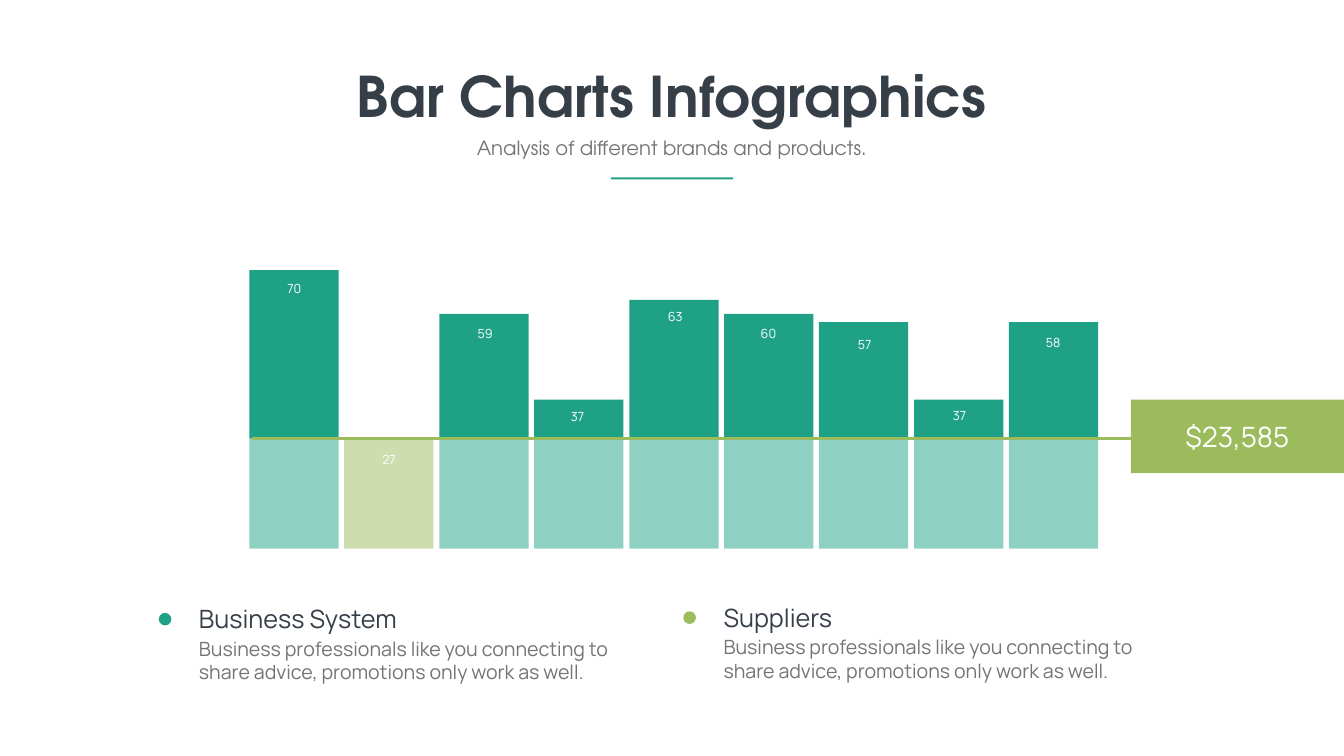
from dataclasses import dataclass

from lxml.etree import SubElement
from pptx import Presentation
from pptx.dml.color import RGBColor
from pptx.enum.shapes import MSO_CONNECTOR, MSO_SHAPE
from pptx.enum.text import MSO_ANCHOR, MSO_AUTO_SIZE, PP_ALIGN
from pptx.oxml.ns import qn
from pptx.util import Pt

EMU_PER_PX = 9144  # 100 px to the inch
WIDTH, HEIGHT = 2667, 1500


@dataclass(frozen=True)
class Theme:
    teal: str = "1EA185"
    green: str = "9BBB5C"
    dark: str = "363E48"
    grey: str = "737572"
    white: str = "FFFFFF"
    heading_font: str = "TeX Gyre Adventor"
    body_font: str = "Manrope"
    title_size: int = 80
    badge_size: int = 40
    legend_size: int = 36
    body_size: int = 28
    label_size: int = 18


THEME = Theme()


def px(*lengths):
    return [length * EMU_PER_PX for length in lengths]


def write_text(frame, text, *, size, color, font=THEME.body_font, bold=False,
               align=PP_ALIGN.LEFT):
    paragraph = frame.paragraphs[0]
    paragraph.alignment = align
    run = paragraph.add_run()
    run.text = text
    run.font.name = font
    run.font.size = Pt(size)
    run.font.bold = bold
    run.font.color.rgb = RGBColor.from_string(color)


class SlideBuilder:
    def __init__(self, slide, theme):
        self.shapes = slide.shapes
        self.theme = theme

    def block(self, box, color, kind=MSO_SHAPE.RECTANGLE, opacity=100, parent=None):
        block = (parent or self.shapes).add_shape(kind, *px(*box))
        block.shadow.inherit = False
        block.line.fill.background()
        block.fill.solid()
        block.fill.fore_color.rgb = RGBColor.from_string(color)
        if opacity < 100:
            rgb = block.fill._xPr.find(".//" + qn("a:srgbClr"))
            SubElement(rgb, qn("a:alpha"), val=str(opacity * 1000))
        return block

    def text(self, box, text, wrap=True, parent=None, **style):
        frame = (parent or self.shapes).add_textbox(*px(*box)).text_frame
        frame.word_wrap = wrap
        frame.auto_size = MSO_AUTO_SIZE.SHAPE_TO_FIT_TEXT
        write_text(frame, text, **style)

    def line(self, start, end, color, points):
        line = self.shapes.add_connector(MSO_CONNECTOR.STRAIGHT, *px(*start, *end))
        line.line.color.rgb = RGBColor.from_string(color)
        line.line.width = Pt(points)
        SubElement(line._element.spPr, qn("a:effectLst"))

    def badge(self, box, text):
        frame = self.block(box, self.theme.green).text_frame
        frame.vertical_anchor = MSO_ANCHOR.MIDDLE
        write_text(frame, text, size=self.theme.badge_size,
                   color=self.theme.white, align=PP_ALIGN.CENTER)

    def legend(self, left, top, color, name, description):
        group = self.shapes.add_group_shape().shapes
        self.block((left, top + 23, 25, 25), color, MSO_SHAPE.OVAL, parent=group)
        self.text((left + 70, top + 65, 925, 104), description, parent=group,
                  size=self.theme.body_size, color=self.theme.grey)
        self.text((left + 70, top, 489, 71), name, parent=group,
                  size=self.theme.legend_size, color=self.theme.dark)


# Value, top of the bar, left and top of its label
BARS = [
    (70, 536, 484, 553), (27, 870, 672, 892), (59, 623, 863, 641),
    (37, 793, 1046, 806), (63, 595, 1240, 608), (60, 623, 1425, 641),
    (57, 639, 1616, 664), (37, 793, 1804, 804), (58, 639, 1990, 659),
]
FIRST_BAR, BAR_PITCH, BAR_WIDTH = 495, 188.4, 177
THRESHOLD, BASELINE = 870, 1088
BADGE_LEFT = 2244
DESCRIPTION = ("Business professionals like you connecting to share advice, "
               "promotions only work as well.")


def main():
    deck = Presentation()
    deck.slide_width, deck.slide_height = px(WIDTH, HEIGHT)
    builder = SlideBuilder(deck.slides.add_slide(deck.slide_layouts[6]), THEME)

    # Bars, green where they stay below the threshold
    for index, (_, top, _, _) in enumerate(BARS):
        left = round(FIRST_BAR + index * BAR_PITCH)
        color = THEME.teal if top < THRESHOLD else THEME.green
        builder.block((left, top, BAR_WIDTH, BASELINE - top), color)

    # Veil below the threshold, threshold line and badge
    builder.block((339, THRESHOLD, 1931, BASELINE - THRESHOLD), THEME.white, opacity=50)
    builder.line((500, THRESHOLD), (BADGE_LEFT, THRESHOLD), THEME.green, 3)
    builder.badge((BADGE_LEFT, 793, WIDTH - BADGE_LEFT, 146), "$23,585")

    # Legend
    builder.legend(315, 1193, THEME.teal, "Business System", DESCRIPTION)
    builder.legend(1356, 1190, THEME.green, "Suppliers", DESCRIPTION)

    # Heading
    builder.text((692, 117, 1282, 145), "Bar Charts Infographics", wrap=False,
                 size=THEME.title_size, color=THEME.dark, font=THEME.heading_font,
                 bold=True, align=PP_ALIGN.CENTER)
    builder.text((855, 265, 956, 57), "Analysis of different brands and products.",
                 size=THEME.body_size, color=THEME.grey, font=THEME.heading_font,
                 align=PP_ALIGN.CENTER)
    builder.block((1212, 352, 243, 4), THEME.teal)

    # Bar labels
    for value, _, left, top in BARS:
        builder.text((left, top, 200, 40), str(value), size=THEME.label_size,
                     color=THEME.white, align=PP_ALIGN.CENTER)

    deck.save("out.pptx")


if __name__ == "__main__":
    main()
